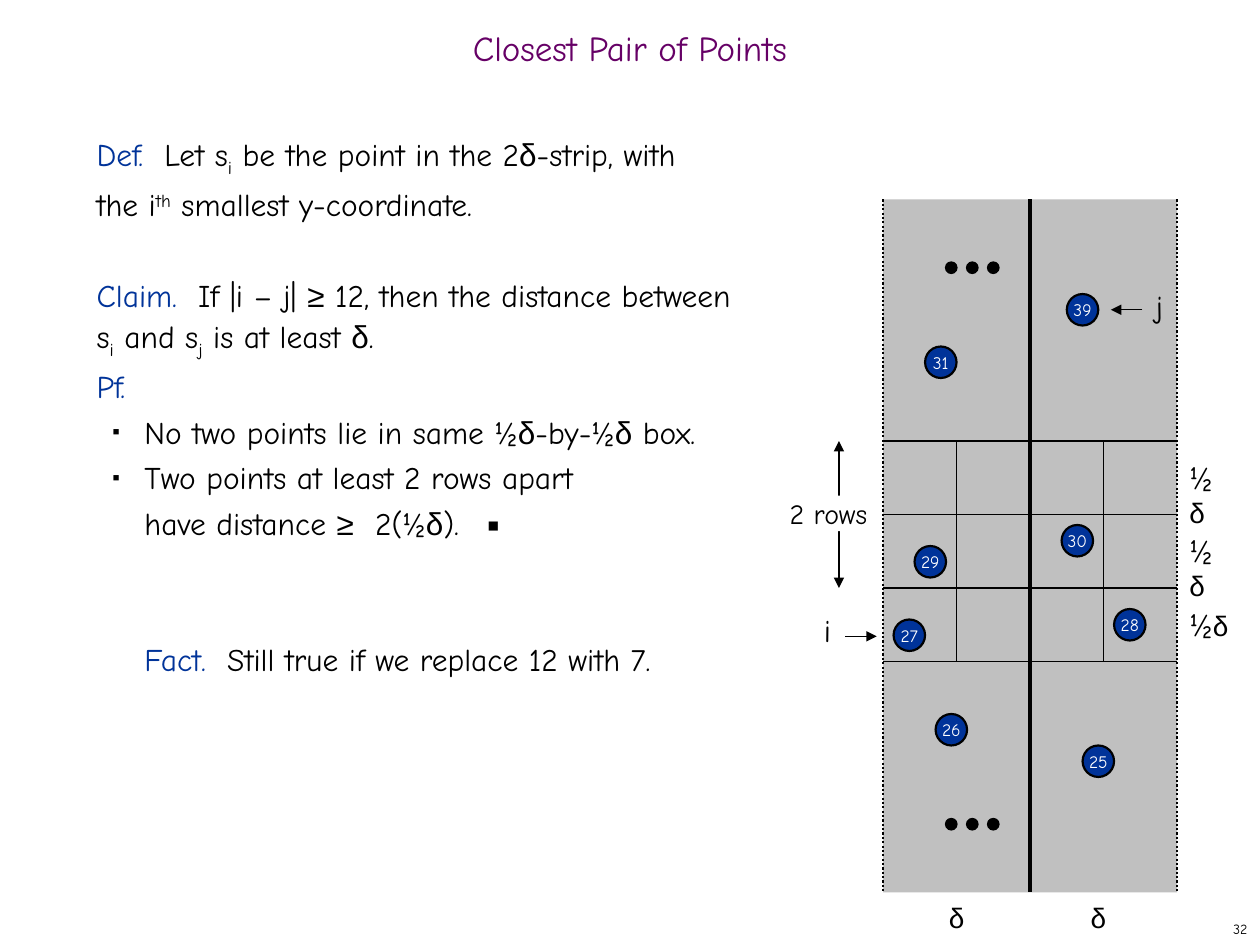
from dataclasses import dataclass
from itertools import groupby

from lxml import etree
from pptx import Presentation
from pptx.dml.color import RGBColor
from pptx.enum.dml import MSO_LINE
from pptx.enum.shapes import MSO_CONNECTOR, MSO_SHAPE
from pptx.enum.text import MSO_ANCHOR, MSO_AUTO_SIZE, PP_ALIGN
from pptx.oxml.ns import qn
from pptx.util import Inches, Pt

LEFT, CENTER, RIGHT = PP_ALIGN.LEFT, PP_ALIGN.CENTER, PP_ALIGN.RIGHT
TOP, MIDDLE = MSO_ANCHOR.TOP, MSO_ANCHOR.MIDDLE
RECT, OVAL = MSO_SHAPE.RECTANGLE, MSO_SHAPE.OVAL
STRAIGHT, DOTTED = MSO_CONNECTOR.STRAIGHT, MSO_LINE.ROUND_DOT
UNIT = Inches(1) / 12   # the slide is a grid of 120 columns by 90 rows
HALF_DELTA = 7          # side of a small box, in grid units
INDENT = 0.38


@dataclass(frozen=True)
class Theme:
    font: str = "Comic Neue"
    symbol_font: str = "Arial"
    ink: str = "000000"
    paper: str = "FFFFFF"
    title: str = "660066"
    accent: str = "003399"
    strip: str = "C0C0C0"
    title_size: int = 20
    body_size: int = 18
    label_size: int = 16
    point_size: int = 10
    number_size: int = 8


T = Theme()


def rgb(value):
    return RGBColor.from_string(value)


def add_text(p, text, size=T.body_size, color=T.ink, base=0):
    """Add text to a paragraph; Greek and math signs get the symbol font."""
    for i, line in enumerate(text.split("\n")):
        if i:
            p.add_line_break()
        for symbol, chars in groupby(line, lambda c: c in "δ≥"):
            r = p.add_run()
            r.text = "".join(chars)
            r.font.size = Pt(size)
            r.font.name = T.symbol_font if symbol else T.font
            r.font.color.rgb = rgb(color)
            if base:
                r.font._element.set("baseline", str(base * 1000))


def set_frame(tf, anchor=TOP, wrap=True, pad=0.05):
    tf.auto_size = MSO_AUTO_SIZE.NONE
    tf.word_wrap = wrap
    tf.vertical_anchor = anchor
    tf.margin_left = tf.margin_right = Inches(0.1)
    tf.margin_top = tf.margin_bottom = Inches(pad)


def place(sp, x, y, w, h):
    sp.left, sp.top, sp.width, sp.height = (int(v * UNIT) for v in (x, y, w, h))


def add_label(s, box, text, align=CENTER, anchor=TOP, before=10, **fmt):
    sp = s.shapes.add_textbox(0, 0, 0, 0)
    place(sp, *box)
    set_frame(sp.text_frame, anchor)
    p = sp.text_frame.paragraphs[0]
    p.alignment, p.space_before = align, Pt(before)
    add_text(p, text, **fmt)
    return p


def add_shape(s, kind, box, fill, outlined=True, text="", pad=0.05, **fmt):
    sp = s.shapes.add_shape(kind, 0, 0, 0, 0)
    place(sp, *box)
    sp.shadow.inherit = False
    sp.fill.solid()
    sp.fill.fore_color.rgb = rgb(fill)
    if outlined:
        sp.line.color.rgb = rgb(T.ink)
        sp.line.width = Pt(1.25)
    else:
        sp.line.fill.background()
    if text:
        set_frame(sp.text_frame, MIDDLE, wrap=False, pad=pad)
        p = sp.text_frame.paragraphs[0]
        p.alignment = CENTER
        add_text(p, text, **fmt)


def add_line(s, x1, y1, x2, y2, width=0.75, dash=None, ends=()):
    c = s.shapes.add_connector(STRAIGHT, *(int(v * UNIT) for v in (x1, y1, x2, y2)))
    c.line.color.rgb = rgb(T.ink)
    c.line.width = Pt(width)
    if dash:
        c.line.dash_style = dash
    for end in ends:
        etree.SubElement(c.line._ln, qn(f"a:{end}"), type="triangle")
    etree.SubElement(c._element.spPr, qn("a:effectLst"))


def format_list(p, indent=0, bullet=False):
    pPr = p._p.get_or_add_pPr()
    pPr.set("marL", str(Inches(indent)))
    pPr.set("indent", str(Inches(-0.25 if bullet else 0)))
    if bullet:
        color = etree.SubElement(pPr, qn("a:buClr"))
        etree.SubElement(color, qn("a:srgbClr"), val=T.ink)
        etree.SubElement(pPr, qn("a:buSzPct"), val="35000")
        etree.SubElement(pPr, qn("a:buChar"), char="■")
    else:
        etree.SubElement(pPr, qn("a:buNone"))
    return pPr


def build_title(sp, box):
    place(sp, *box)
    set_frame(sp.text_frame, MIDDLE)
    p = sp.text_frame.paragraphs[0]
    p.alignment, p.line_spacing = CENTER, 0.7
    add_text(p, "Closest Pair of Points", size=T.title_size, color=T.title)


def build_body(sp, box):
    place(sp, *box)
    tf = sp.text_frame
    set_frame(tf)
    head, sub, sup = {"color": T.accent}, {"base": -25}, {"base": 30}
    # Each paragraph: indent, bullet, space before in points, pieces of text
    paragraphs = [
        (0, False, 0, [("Def.  ", head), ("Let s", {}), ("i", sub),
                       (" be the point in the 2δ-strip, with\nthe i", {}),
                       ("th", sup), (" smallest y-coordinate.", {})]),
        (0, False, 26, [("Claim.  ", head),
                        ("If |i – j| ≥ 12, then the distance between\ns", {}),
                        ("i", sub), (" and s", {}), ("j", sub),
                        (" is at least δ.", {})]),
        (0, False, 0, [("Pf.", head)]),
        (INDENT, True, 0, [("No two points lie in same ½δ-by-½δ box.", {})]),
        (INDENT, True, 0, [("Two points at least 2 rows apart\n"
                            "have distance ≥  2(½δ).\t▪", {})]),
        (INDENT, False, 52, [("Fact.  ", head),
                             ("Still true if we replace 12 with 7.", {})]),
    ]
    for i, (indent, bullet, before, pieces) in enumerate(paragraphs):
        p = tf.add_paragraph() if i else tf.paragraphs[0]
        p.alignment, p.line_spacing, p.space_before = LEFT, Pt(26), Pt(before)
        pPr = format_list(p, indent, bullet)
        if any("\t" in text for text, _ in pieces):
            tabs = etree.SubElement(pPr, qn("a:tabLst"))
            etree.SubElement(tabs, qn("a:tab"), pos=str(Inches(3.1)), algn="l")
        for text, fmt in pieces:
            add_text(p, text, **fmt)


def build_strip(s, x, y, w, h):
    top = y + 23
    rows = [top + k * HALF_DELTA for k in range(4)]
    add_line(s, x - 4.2, rows[0], x - 4.2, rows[2], ends=("headEnd", "tailEnd"))
    add_shape(s, RECT, (x, y, w, h), T.strip, outlined=False)

    # Strip borders, middle line and the grid of half-delta boxes
    add_line(s, x + w / 2, y, x + w / 2, y + h, width=2)
    for edge in (x, x + w):
        add_line(s, edge, y, edge, y + h, width=1.25, dash=DOTTED)
    for column in (1, 3):
        add_line(s, x + column * HALF_DELTA, rows[0], x + column * HALF_DELTA, rows[-1])
    for row in rows:
        add_line(s, x, row, x + w, row)

    # Numbered points
    points = {25: (19, 52), 26: (5, 49), 27: (1, 40), 28: (22, 39),
              29: (3, 33), 30: (17, 31), 31: (4, 14), 39: (17.5, 9)}
    for number, (dx, dy) in points.items():
        add_shape(s, OVAL, (x + dx, y + dy, 3, 3), T.accent, text=str(number),
                  size=T.point_size, color=T.paper)

    # Ellipsis dots
    for dy in (6, 59):
        for dx in (6, 8, 10):
            add_shape(s, OVAL, (x + dx, y + dy, 1, 1), T.ink)

    # Measures
    for dx in (5, 18.5):
        add_label(s, (x + dx, y + 66.2, 4, 4.4), "δ", size=T.label_size)
    for row, width in zip(rows, (5.9, 5.9, 6.8)):
        p = add_label(s, (x + w, row + 1, width, 8), "½", align=LEFT)
        add_text(p, "δ", size=T.label_size)
    add_shape(s, RECT, (x - 10.3, y + 28.2, 10.2, 3.4), T.paper, outlined=False,
              text="2 rows", pad=0, size=T.label_size)

    # Index pointers
    add_label(s, (x - 7.3, y + 38.6, 4, 4.8), "i", before=11.2)
    add_line(s, x - 3.6, y + 41.6, x - 0.6, y + 41.6, ends=("tailEnd",))
    add_label(s, (x + 24.3, y + 7.7, 4, 4.8), "j", before=11.2)
    add_line(s, x + 24.7, y + 10.5, x + 21.7, y + 10.5, ends=("tailEnd",))


def main():
    prs = Presentation()
    prs.slide_width, prs.slide_height = Inches(10), Inches(7.5)
    s = prs.slides.add_slide(prs.slide_layouts[1])
    build_title(s.shapes.title, (0, 2, 120, 6))
    build_body(s.placeholders[1], (8, 12, 103, 71))
    build_strip(s, 84.1, 19, 4 * HALF_DELTA, 66)
    add_label(s, (95, 87, 25, 3), "32", align=RIGHT, anchor=MIDDLE, before=0,
              size=T.number_size)
    prs.save("out.pptx")


if __name__ == "__main__":
    main()
